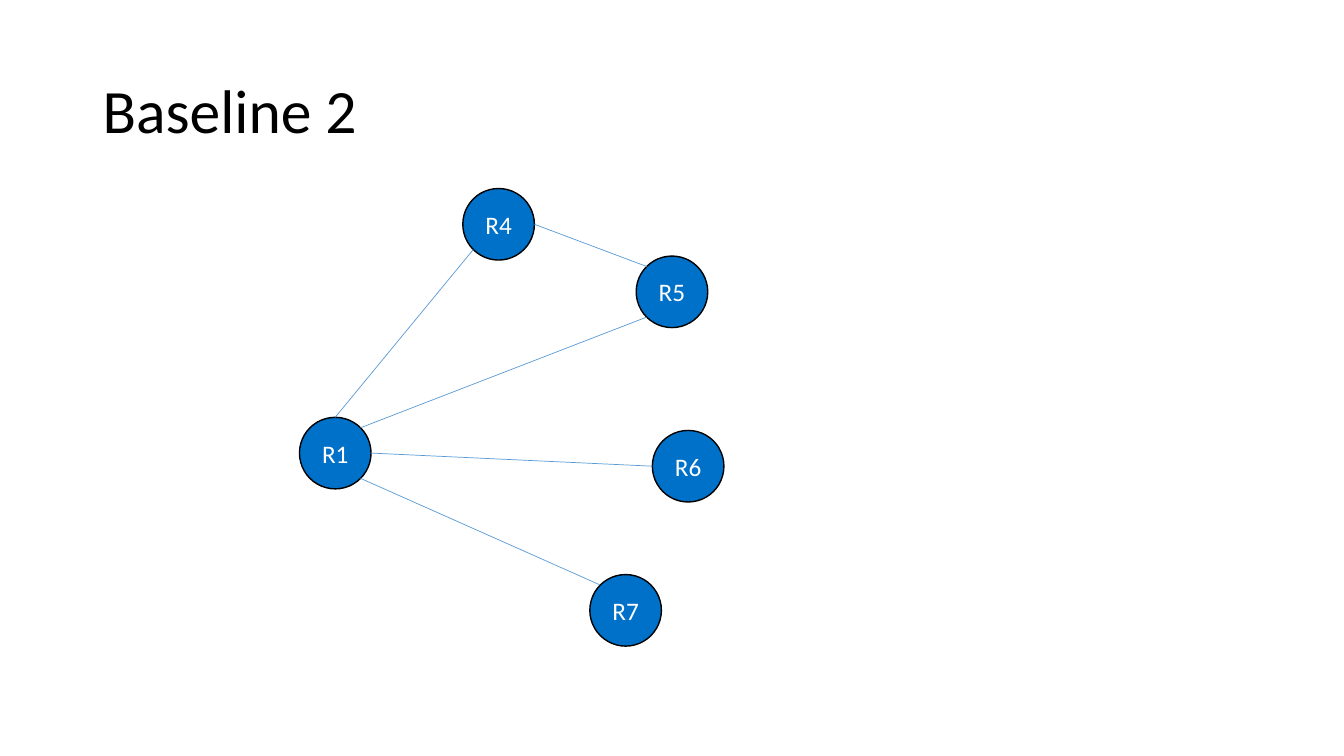
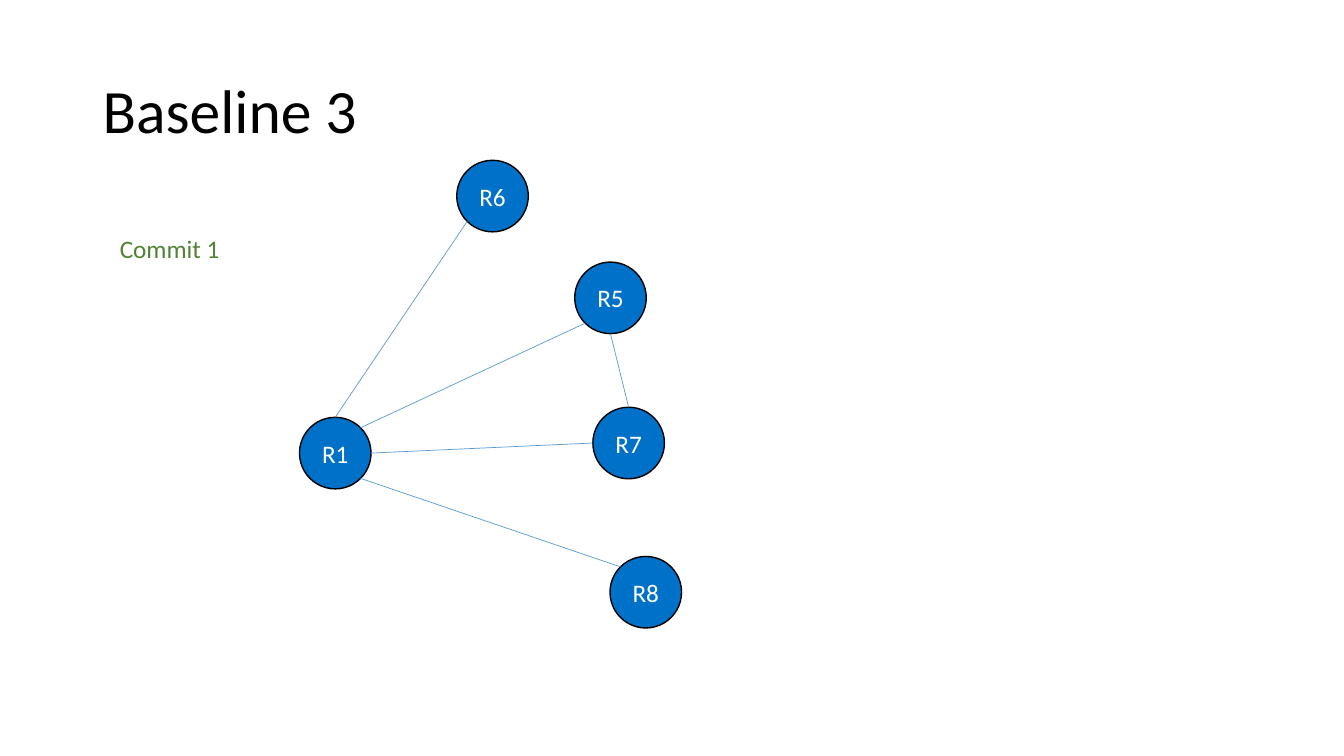
from math import cos, radians, sin

from lxml import etree
from pptx import Presentation
from pptx.dml.color import RGBColor
from pptx.enum.shapes import MSO_CONNECTOR, MSO_SHAPE
from pptx.enum.text import MSO_ANCHOR, PP_ALIGN
from pptx.oxml.ns import qn
from pptx.util import Inches, Pt

OVAL = MSO_SHAPE.OVAL
STRAIGHT = MSO_CONNECTOR.STRAIGHT
MIDDLE = MSO_ANCHOR.MIDDLE
CENTER = PP_ALIGN.CENTER

FONT = "Calibri"
BLACK = RGBColor(0x00, 0x00, 0x00)
WHITE = RGBColor(0xFF, 0xFF, 0xFF)
NODE_BLUE = RGBColor(0x00, 0x71, 0xC8)
EDGE_BLUE = RGBColor(0x5B, 0x9B, 0xD5)
COMMIT_GREEN = RGBColor(0x54, 0x82, 0x35)

NODE_SIZE = 0.71
TITLE_BOX = (0.92, 0.4, 11.5, 1.45)
COMMIT_BOX = (1.09, 2.27, 1.2, 0.4)
ROOT = (2.97, 4.14)
ANGLES = {"right": 0, "lower right": 45, "bottom": 90, "lower left": 135,
          "left": 180, "upper left": 225, "top": 270, "upper right": 315}

BASELINES = [
    {
        "title": "Baseline 2",
        "nodes": {"R1": ROOT, "R6": (6.47, 4.27), "R7": (5.85, 5.7),
                  "R5": (6.31, 2.54), "R4": (4.59, 1.87)},
        "edges": [("R1", "right", "R6", "left"),
                  ("R1", "lower right", "R7", "upper left"),
                  ("R1", "top", "R4", "lower left"),
                  ("R5", "lower left", "R1", "upper right"),
                  ("R4", "right", "R5", "upper left")],
    },
    {
        "title": "Baseline 3",
        "nodes": {"R1": ROOT, "R7": (5.88, 4.04), "R5": (5.7, 2.6),
                  "R6": (4.53, 1.59), "R8": (6.05, 5.52)},
        "edges": [("R1", "right", "R7", "left"),
                  ("R5", "lower left", "R1", "upper right"),
                  ("R7", "top", "R5", "bottom"),
                  ("R1", "top", "R6", "lower left"),
                  ("R1", "lower right", "R8", "upper left")],
        "commit": "Commit 1",
    },
]


def write(frame, text, size, color):
    frame.text = text
    para = frame.paragraphs[0]
    font = para.runs[0].font
    font.name, font.size, font.color.rgb = FONT, Pt(size), color
    return para


def add_title(page, box, text):
    frame = page.shapes.add_textbox(*map(Inches, box)).text_frame
    frame.word_wrap = True
    frame.vertical_anchor = MIDDLE
    write(frame, text, 44, BLACK).line_spacing = 0.9


def add_commit(page, box, text):
    frame = page.shapes.add_textbox(*map(Inches, box)).text_frame
    frame.word_wrap = False
    write(frame, text, 18, COMMIT_GREEN)


def add_node(page, corner, name):
    left, top = map(Inches, corner)
    size = Inches(NODE_SIZE)
    node = page.shapes.add_shape(OVAL, left, top, size, size)
    node.shadow.inherit = False
    node.fill.solid()
    node.fill.fore_color.rgb = NODE_BLUE
    node.line.color.rgb = BLACK
    node.line.width = Pt(1)
    frame = node.text_frame
    frame.word_wrap = False
    frame.vertical_anchor = MIDDLE
    write(frame, name, 18, WHITE).alignment = CENTER


def rim_point(corner, side):
    angle = radians(ANGLES[side])
    radius = NODE_SIZE / 2
    left, top = corner
    return (Inches(left + radius * (1 + cos(angle))),
            Inches(top + radius * (1 + sin(angle))))


def add_edge(page, start, end):
    edge = page.shapes.add_connector(STRAIGHT, *start, *end)
    edge.line.color.rgb = EDGE_BLUE
    edge.line.width = Pt(0.5)
    etree.SubElement(edge._element.spPr, qn("a:effectLst"))


def add_graph(page, nodes, edges):
    for name, corner in nodes.items():
        add_node(page, corner, name)
    for source, source_side, target, target_side in edges:
        add_edge(page, rim_point(nodes[source], source_side),
                 rim_point(nodes[target], target_side))


def add_baseline(deck, baseline):
    page = deck.slides.add_slide(deck.slide_layouts[6])
    add_title(page, TITLE_BOX, baseline["title"])
    add_graph(page, baseline["nodes"], baseline["edges"])
    if "commit" in baseline:
        add_commit(page, COMMIT_BOX, baseline["commit"])


def main():
    deck = Presentation()
    deck.slide_width, deck.slide_height = Inches(13.33), Inches(7.5)
    for baseline in BASELINES:
        add_baseline(deck, baseline)
    deck.save("out.pptx")


if __name__ == "__main__":
    main()
